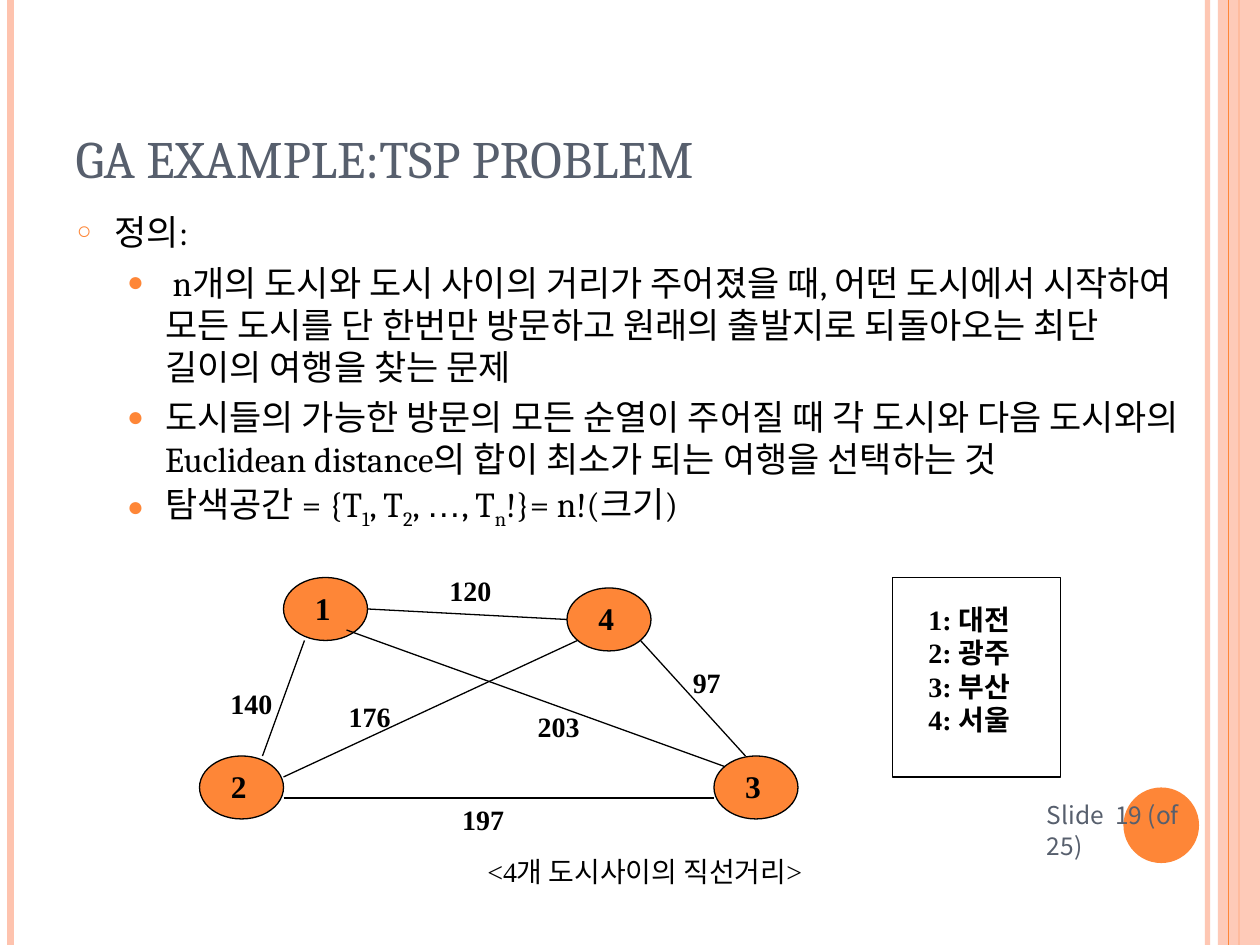
"""Build the travelling salesman example slide with its city graph."""
from dataclasses import dataclass

from lxml.etree import SubElement
from pptx import Presentation
from pptx.dml.color import RGBColor
from pptx.enum.shapes import MSO_CONNECTOR, MSO_SHAPE
from pptx.enum.text import MSO_ANCHOR, MSO_AUTO_SIZE, PP_ALIGN
from pptx.oxml.ns import qn
from pptx.util import Pt

ORANGE = RGBColor(0xFE, 0x86, 0x37)
PEACH = RGBColor(0xFE, 0xC3, 0xAE)
SLATE = RGBColor(0x57, 0x5F, 0x6D)
BLACK = RGBColor(0, 0, 0)
SERIF, ROMAN, SANS = "Cambria", "Times New Roman", "Noto Sans CJK KR"
NODE_W, NODE_H = 48, 36
LABEL_SLACK = 10


@dataclass(frozen=True)
class Line:
    x1: float
    y1: float
    x2: float
    y2: float
    color: RGBColor = BLACK
    width: float = 0.75
    alpha: int = 100


@dataclass(frozen=True)
class City:
    name: str
    x: float
    y: float


@dataclass(frozen=True)
class Label:
    lines: tuple[str, ...]
    x: float
    y: float
    w: float
    h: float = 26.6
    size: float = 16
    bold: bool = True


@dataclass(frozen=True)
class Bullet:
    runs: tuple[tuple[str, str], ...]
    level: int = 1


RAILS = (
    Line(690, 0, 690, 540, PEACH, 3, 93),
    Line(6, 0, 6, 540, PEACH, 4.5),
    Line(708, 0, 708, 540, ORANGE, 1.5),
)
FRONT_RAIL = Line(702, 0, 702, 540, ORANGE)
CITIES = (City("1", 162, 330), City("4", 324, 336), City("2", 114, 432), City("3", 408, 432))
ROADS = (
    Line(210, 348, 324, 354),
    Line(174, 366, 150, 432),
    Line(162, 444, 330, 366),
    Line(198, 360, 414, 438),
    Line(366, 366, 426, 432),
    Line(162, 456, 408, 456),
)
LABELS = (
    Label(("120",), 249.8, 324, 38.2),
    Label(("140",), 124.6, 388.8, 38.2),
    Label(("176",), 192.2, 396, 38.2),
    Label(("203",), 300.2, 401.8, 38.2),
    Label(("97",), 388.8, 376.6, 30.2),
    Label(("197",), 257, 455, 38.2),
    Label(("1: 대전", "2: 광주", "3: 부산", "4: 서울"), 523.4, 340.6, 64.8, 84.2),
    Label(("<4개 도시사이의 직선거리>",), 271.4, 484.6, 203.8, bold=False),
)
BULLETS = (
    Bullet((("정의:", ""),), 0),
    Bullet(((" n개의 도시와 도시 사이의 거리가 주어졌을 때, 어떤 도시에서 시작하여 모든 도시를 "
             "단 한번만 방문하고 원래의 출발지로 되돌아오는 최단 길이의 여행을 찾는 문제", ""),)),
    Bullet((("도시들의 가능한 방문의 모든 순열이 주어질 때 각 도시와 다음 도시와의 "
             "Euclidean distance의 합이 최소가 되는 여행을 선택하는 것", ""),)),
    Bullet((("탐색공간 = {T", ""), ("1", "sub"), (", T", ""), ("2", "sub"), (", ", ""),
            ("…", "arial"), (", T", ""), ("n", "sub"), ("!}= n!(크기)", ""))),
)


def place(sp, x: float, y: float, w: float, h: float) -> None:
    sp.left, sp.top, sp.width, sp.height = Pt(x), Pt(y), Pt(w), Pt(h)


def add_run(p, text: str, font: str, size: float, color: RGBColor, bold: bool = False):
    r = p.add_run()
    r.text = text
    r.font.name, r.font.size, r.font.bold = font, Pt(size), bold
    r.font.color.rgb = color
    SubElement(r.font._element, qn("a:ea"), typeface=SANS)
    return r


def set_alpha(fill_owner, percent: int) -> None:
    color = next(fill_owner.iter(qn("a:srgbClr")))
    SubElement(color, qn("a:alpha"), val=str(percent * 1000))


def add_line(s, line: Line) -> None:
    c = s.shapes.add_connector(
        MSO_CONNECTOR.STRAIGHT, Pt(line.x1), Pt(line.y1), Pt(line.x2), Pt(line.y2))
    c.line.color.rgb = line.color
    c.line.width = Pt(line.width)
    if line.alpha < 100:
        set_alpha(c._element.spPr, line.alpha)
    SubElement(c._element.spPr, qn("a:effectLst"))


def add_figure(s, kind: MSO_SHAPE, x: float, y: float, w: float, h: float,
               fill: RGBColor | None, outlined: bool = True):
    sp = s.shapes.add_shape(kind, Pt(x), Pt(y), Pt(w), Pt(h))
    sp.shadow.inherit = False
    if fill is None:
        sp.fill.background()
    else:
        sp.fill.solid()
        sp.fill.fore_color.rgb = fill
    if outlined:
        sp.line.color.rgb = BLACK
        sp.line.width = Pt(0.75)
    else:
        sp.line.fill.background()
    return sp


def add_label(s, label: Label) -> None:
    tf = s.shapes.add_textbox(
        Pt(label.x), Pt(label.y), Pt(label.w + LABEL_SLACK), Pt(label.h)).text_frame
    tf.word_wrap = True
    for i, text in enumerate(label.lines):
        p = tf.add_paragraph() if i else tf.paragraphs[0]
        p.line_spacing = Pt(label.size * 1.2)
        add_run(p, text, ROMAN, label.size, BLACK, label.bold)


def add_bullet(p, bullet: Bullet) -> None:
    mark, scale, margin, before = (("○", 70, 21.6, 6), ("●", 80, 50.4, 5))[bullet.level]
    p.level = bullet.level
    p.space_before = Pt(before)
    p.line_spacing = Pt(24)
    pPr = p._p.get_or_add_pPr()
    pPr.set("marL", str(Pt(margin)))
    pPr.set("indent", str(Pt(-21.6)))
    SubElement(SubElement(pPr, qn("a:buClr")), qn("a:srgbClr"), val=str(ORANGE))
    SubElement(pPr, qn("a:buSzPct"), val=str(scale * 1000))
    SubElement(pPr, qn("a:buChar"), char=mark)
    for text, style in bullet.runs:
        r = add_run(p, text, "Arial" if style == "arial" else SERIF, 20, BLACK)
        if style == "sub":
            r.font._element.set("baseline", "-25000")


def add_slide_number(s) -> None:
    tf = s.shapes.add_textbox(Pt(598.3), Pt(457.2), Pt(86), Pt(33.8)).text_frame
    tf.word_wrap = True
    tf.vertical_anchor = MSO_ANCHOR.MIDDLE
    tf.margin_left = tf.margin_right = tf.margin_top = tf.margin_bottom = 0
    p = tf.paragraphs[0]
    p.line_spacing = Pt(17.5)
    add_run(p, "Slide  19 (of  25)", SANS, 14, SLATE)


def main() -> None:
    prs = Presentation()
    prs.slide_width, prs.slide_height = Pt(720), Pt(540)
    s = prs.slides.add_slide(prs.slide_layouts[1])
    title, body = s.placeholders

    for rail in RAILS:
        add_line(s, rail)
    band = add_figure(s, MSO_SHAPE.RECTANGLE, 696, 0, 24, 540, PEACH, False)
    set_alpha(band._element.spPr, 87)
    add_line(s, FRONT_RAIL)
    add_figure(s, MSO_SHAPE.OVAL, 642, 450, 43.2, 43.2, ORANGE, False)

    place(title, 36, 21.6, 588, 90)
    tf = title.text_frame
    tf.vertical_anchor = MSO_ANCHOR.BOTTOM
    tf.auto_size = MSO_AUTO_SIZE.NONE
    tf.paragraphs[0].alignment = PP_ALIGN.LEFT
    add_run(tf.paragraphs[0], "GA EXAMPLE:TSP PROBLEM", SERIF, 30, SLATE)

    place(body, 36.7, 116.6, 648, 356.4)
    tf = body.text_frame
    tf.auto_size = MSO_AUTO_SIZE.NONE
    for i, bullet in enumerate(BULLETS):
        add_bullet(tf.add_paragraph() if i else tf.paragraphs[0], bullet)

    for city in CITIES:
        add_figure(s, MSO_SHAPE.OVAL, city.x, city.y, NODE_W, NODE_H, ORANGE)
    for road in ROADS:
        add_line(s, road)
    for city in CITIES:
        add_label(s, Label((city.name,), city.x + 10.8, city.y + 3, 23, 29, 18))
    add_figure(s, MSO_SHAPE.RECTANGLE, 510, 330, 96, 114, None)
    for label in LABELS:
        add_label(s, label)
    add_slide_number(s)
    prs.save("out.pptx")


if __name__ == "__main__":
    main()
